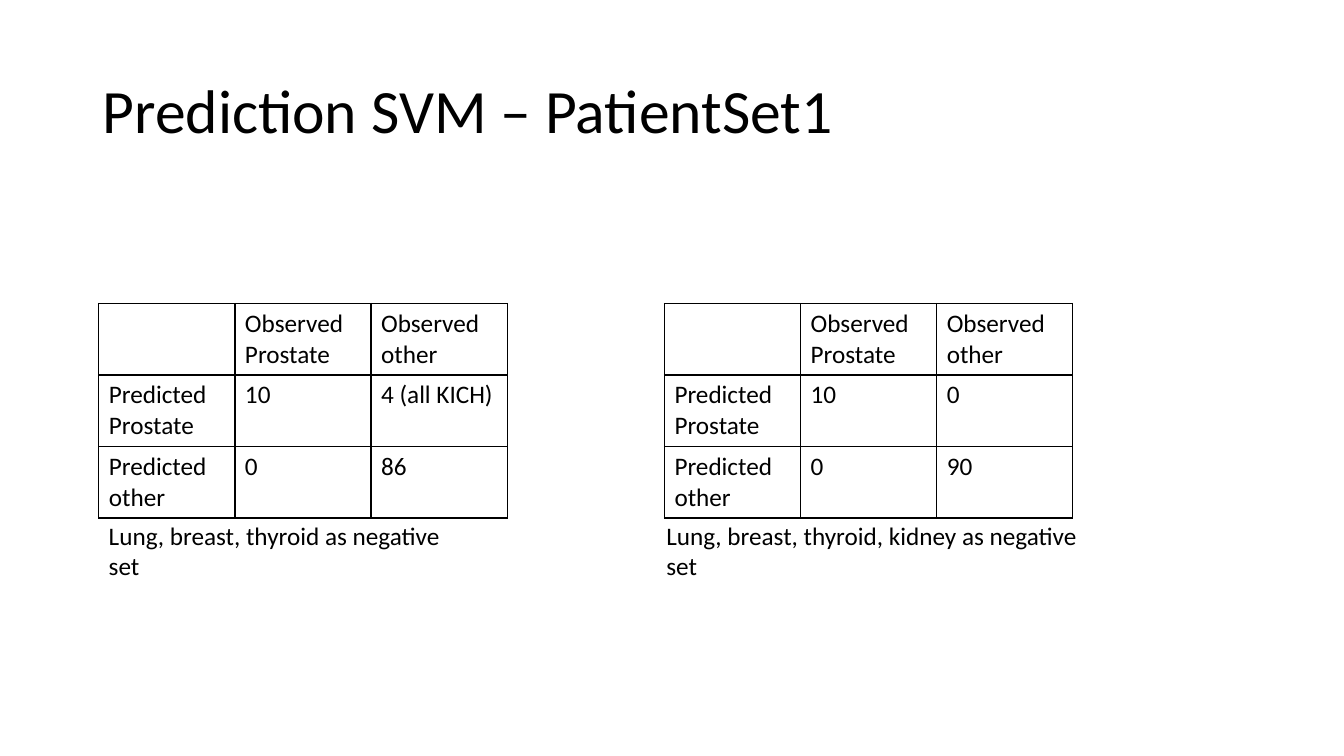
from lxml import etree
from pptx import Presentation
from pptx import util as u
from pptx.dml.color import RGBColor
from pptx.enum import text
from pptx.oxml.ns import qn

TITLE = "Prediction SVM – PatientSet1"
OBSERVED = ["", "Observed Prostate", "Observed other"]
RESULTS = [
    {"left": 98, "note_left": 98, "note_width": 361,
     "note": "Lung, breast, thyroid as negative set",
     "counts": [["Predicted Prostate", "10", "4 (all KICH)"],
                ["Predicted other", "0", "86"]]},
    {"left": 659, "note_left": 651, "note_width": 439,
     "note": "Lung, breast, thyroid, kidney as negative set",
     "counts": [["Predicted Prostate", "10", "0"],
                ["Predicted other", "0", "90"]]},
]
FONT, BLACK = "Calibri", "000000"
MATRIX_TOP, COLUMN, ROW = 301, 135, 71
NOTE_TOP, NOTE_HEIGHT = 511, 71


def px(length):
    return u.Emu(length * 9144)


def color(value):
    return RGBColor.from_string(value)


def write(frame, words, size):
    run = frame.paragraphs[0].add_run()
    run.text = words
    run.font.size = u.Pt(size)
    run.font.name = FONT
    run.font.color.rgb = color(BLACK)


def add_label(words, size, left, top, width, height, anchor):
    label = slide.shapes.add_textbox(px(left), px(top), px(width), px(height))
    frame = label.text_frame
    frame.word_wrap = True
    frame.vertical_anchor = anchor
    write(frame, words, size)
    return frame


def outline(cell):
    properties = cell._tc.get_or_add_tcPr()
    for side in ("a:lnL", "a:lnR", "a:lnT", "a:lnB"):
        line = etree.SubElement(properties, qn(side), w=str(u.Pt(1)))
        fill = etree.SubElement(line, qn("a:solidFill"))
        etree.SubElement(fill, qn("a:srgbClr"), val=BLACK)


def add_matrix(left, rows):
    matrix = slide.shapes.add_table(
        len(rows), len(OBSERVED), px(left), px(MATRIX_TOP),
        px(COLUMN * len(OBSERVED)), px(ROW * len(rows))).table
    matrix.first_row = matrix.horz_banding = False
    for column in matrix.columns:
        column.width = px(COLUMN)
    for r, row in enumerate(rows):
        matrix.rows[r].height = px(ROW)
        for c, words in enumerate(row):
            cell = matrix.cell(r, c)
            outline(cell)
            cell.fill.background()
            if words:
                write(cell.text_frame, words, 18)


deck = Presentation()
deck.slide_width, deck.slide_height = px(1333), px(750)
slide = deck.slides.add_slide(deck.slide_layouts[6])

heading = add_label(TITLE, 44, 92, 40, 1150, 145, text.MSO_ANCHOR.MIDDLE)
heading.paragraphs[0].line_spacing = 0.9

for result in RESULTS:
    add_matrix(result["left"], [OBSERVED] + result["counts"])
    note = add_label(result["note"], 18, result["note_left"], NOTE_TOP,
                     result["note_width"], NOTE_HEIGHT, text.MSO_ANCHOR.TOP)
    note.auto_size = text.MSO_AUTO_SIZE.SHAPE_TO_FIT_TEXT

deck.save("out.pptx")
